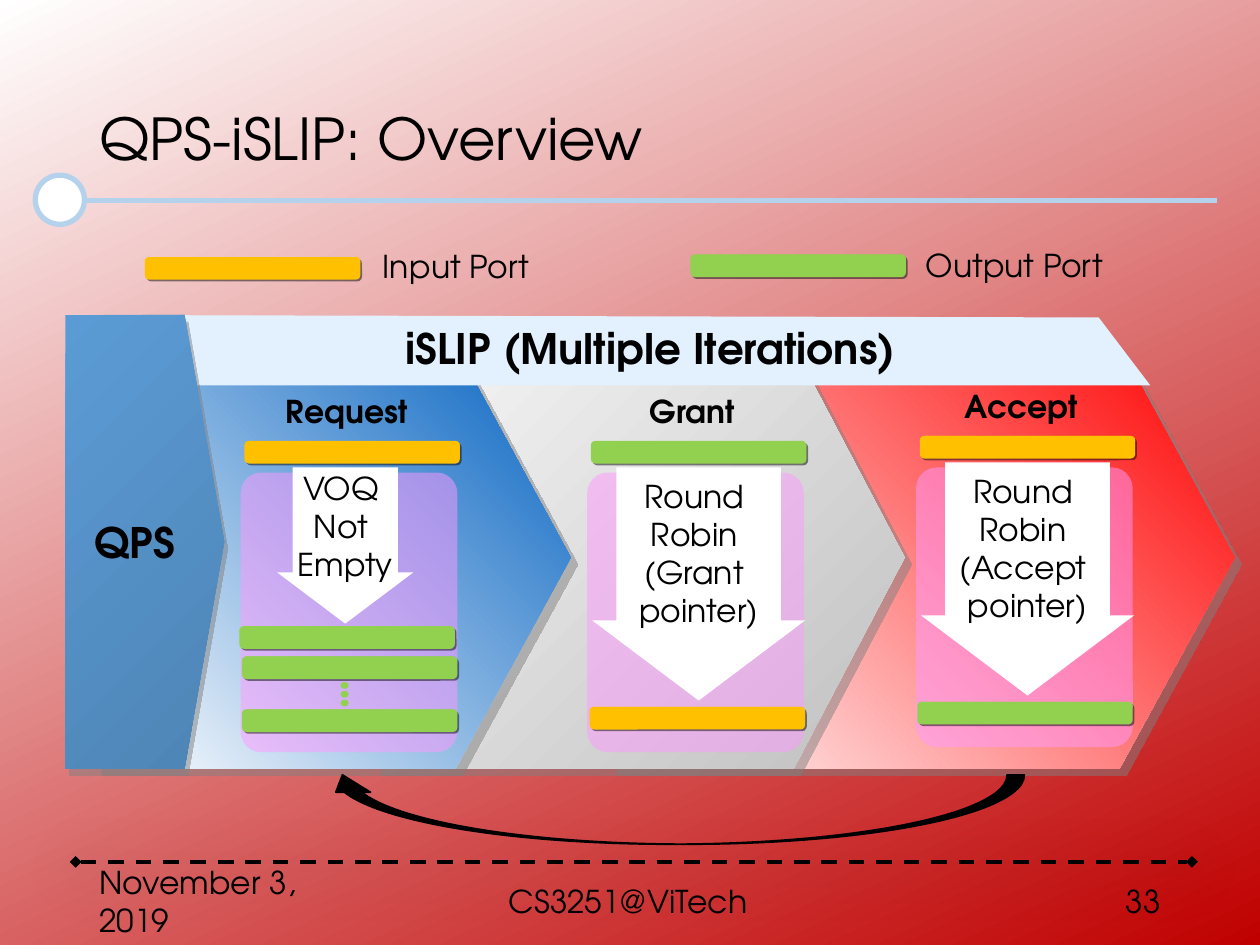
from dataclasses import dataclass

from lxml.etree import SubElement
from pptx import Presentation
from pptx.dml.color import RGBColor
from pptx.enum.dml import MSO_LINE
from pptx.enum.shapes import MSO_CONNECTOR, MSO_SHAPE
from pptx.enum.text import MSO_ANCHOR, PP_ALIGN
from pptx.oxml.ns import qn
from pptx.util import Inches, Pt


@dataclass(frozen=True)
class Theme:
    font: str = "TeX Gyre Adventor"
    title: int = 33
    heading: int = 24
    body: int = 18
    ink: str = "000000"
    white: str = "FFFFFF"
    rule: str = "B5D2EC"
    banner: str = "E3F1FF"
    panel: str = "FF99FF"
    input: str = "FFC000"
    output: str = "92D050"
    # Shadows: colour, opacity %, blur pt, distance pt, direction
    stage_shadow: tuple = ("808080", 50, 0, 5.7, 45)
    qps_shadow: tuple = ("808080", 50, 0, 4.5, 63)
    bar_shadow: tuple = ("080808", 50, 0, 1.4, 45)
    line_shadow: tuple = ("000000", 43, 36, 4, 90)
    title_shadow: tuple = ("000000", 43, 3, 3, 45)


T = Theme()
COLS, ROWS = 100, 75  # grid of square cells over the slide
BAR_W = 17.1


def grid(*cells):
    return [Inches(c * 10 / COLS) for c in cells]


def rgb(colour):
    return RGBColor.from_string(colour)


def add_shadow(effects, shadow):
    colour, opacity, blur, dist, angle = shadow
    outer = SubElement(effects, qn("a:outerShdw"), blurRad=str(Pt(blur)),
                       dist=str(Pt(dist)), dir=str(angle * 60000),
                       algn="ctr", rotWithShape="0")
    add_alpha(SubElement(outer, qn("a:srgbClr"), val=colour), opacity)


def add_alpha(colour, percent):
    SubElement(colour, qn("a:alpha"), val=str(percent * 1000))


def paint_gradient(fill, first, last, angle):
    fill.gradient()
    fill.gradient_angle = 360 - angle  # clockwise angle
    for stop, colour in zip(fill.gradient_stops, (first, last)):
        stop.color.rgb = rgb(colour)


def style(sp, fill, line=None, width=1, shadow=None):
    if isinstance(fill, tuple):
        paint_gradient(sp.fill, *fill)
    else:
        sp.fill.solid()
        sp.fill.fore_color.rgb = rgb(fill)
    if line:
        sp.line.color.rgb = rgb(line)
        sp.line.width = Pt(width)
    else:
        sp.line.fill.background()
    sp.shadow.inherit = False
    if shadow:
        add_shadow(sp._element.spPr.find(qn("a:effectLst")), shadow)


def add_block(s, kind, box, fill, adj=(), **look):
    sp = s.shapes.add_shape(kind, *grid(*box))
    for i, value in enumerate(adj):
        sp.adjustments[i] = value
    style(sp, fill, **look)
    return sp


def write(sp, text, size=T.body, bold=False, align=PP_ALIGN.LEFT,
          anchor=MSO_ANCHOR.MIDDLE, wrap=True):
    tf = sp.text_frame
    tf.text = text
    tf.word_wrap = wrap
    tf.vertical_anchor = anchor
    for p in tf.paragraphs:
        p.alignment = align
        for r in p.runs:
            r.font.name = T.font
            r.font.size = Pt(size)
            r.font.bold = bold
            r.font.color.rgb = rgb(T.ink)
    return tf


def add_text(s, box, text, **look):
    return write(s.shapes.add_textbox(*grid(*box)), text, **look)


def add_line(s, x1, x2, y, colour, width):
    line = s.shapes.add_connector(MSO_CONNECTOR.STRAIGHT, *grid(x1, y, x2, y))
    line.line.color.rgb = rgb(colour)
    line.line.width = Pt(width)
    return line, SubElement(line._element.spPr, qn("a:effectLst"))


def add_bar(s, x, y, colour):
    add_block(s, MSO_SHAPE.ROUNDED_RECTANGLE, (x, y, BAR_W, 1.8), colour,
              adj=[0.206], shadow=T.bar_shadow)
    add_block(s, MSO_SHAPE.ROUNDED_RECTANGLE, (x, y, BAR_W, 0.7), colour, adj=[0.5])


def add_stage(s, x, y, label, label_x, source, steps, arrow):
    """Label, source port, panel and arrow; x, y is the panel's corner."""
    dx, w, h = arrow
    add_text(s, (label_x, y - 6.9, 12, 4), label, bold=True, anchor=MSO_ANCHOR.TOP)
    panel = add_block(s, MSO_SHAPE.ROUNDED_RECTANGLE, (x, y, 17.2, 22.2), T.panel,
                      adj=[0.095])
    add_alpha(panel._element.spPr.find(".//" + qn("a:srgbClr")), 50)
    sp = add_block(s, MSO_SHAPE.DOWN_ARROW, (x + dx, y - 0.4, w, h), T.white,
                   adj=[0.773, 0.376])
    write(sp, steps, align=PP_ALIGN.CENTER, wrap=False)
    add_bar(s, x + 0.3, y - 2.5, source)


def add_frame(s):
    # Title and its rule
    add_line(s, 6.9, 96.6, 15.9, T.rule, 3)
    add_block(s, MSO_SHAPE.OVAL, (2.8, 13.9, 3.9, 3.9), T.white, line=T.rule, width=3)
    tf = add_text(s, (6.9, 4, 86.2, 14.5), "QPS-iSLIP: Overview", size=T.title)
    p = tf.paragraphs[0]
    p.line_spacing = 0.9
    fill = p.runs[0]._r.rPr.find(qn("a:solidFill"))
    effects = SubElement(p.runs[0]._r.rPr, qn("a:effectLst"))
    fill.addnext(effects)
    add_shadow(effects, T.title_shadow)

    # Footer
    line, effects = add_line(s, 6, 94.6, 68.4, T.ink, 2.25)
    line.line.dash_style = MSO_LINE.DASH
    for end in ("a:headEnd", "a:tailEnd"):
        SubElement(line.line._get_or_add_ln(), qn(end), type="diamond")
    add_shadow(effects, T.line_shadow)
    for x, w, text, align in ((6.9, 22.5, "November 3, 2019", PP_ALIGN.LEFT),
                              (24.1, 51.5, "CS3251@ViTech", PP_ALIGN.CENTER),
                              (70.6, 22.5, "33", PP_ALIGN.RIGHT)):
        add_text(s, (x, 69.5, w, 4), text, align=align)


def add_pipeline(s):
    # Chevrons, from right to left
    for x, w, adj, fill in ((48.4, 49.6, 0.273, (T.white, "FF0000", 315)),
                            (29.7, 42.1, 0.263, ("F7F7F7", "C0C0C0", 45)),
                            (7.5, 37.8, 0.273, (T.white, "0563C1", 315))):
        add_block(s, MSO_SHAPE.PENTAGON, (x, 27.5, w, 33.5), fill, adj=[adj],
                  shadow=T.stage_shadow)

    # Banner over all iterations
    corners = [(5.2, 25), (7.3, 30.6), (91.3, 30.6), (87.2, 25.2)]
    start, *rest = [tuple(grid(*c)) for c in corners]
    outline = s.shapes.build_freeform(*start)
    outline.add_line_segments(rest, close=True)
    style(outline.convert_to_shape(), T.banner)
    qps = add_block(s, MSO_SHAPE.PENTAGON, (5.2, 25, 12.6, 36),
                    ("5B9BD5", "4E85B6", 45), adj=[0.25], shadow=T.qps_shadow)
    write(qps, "QPS", size=T.heading, bold=True, align=PP_ALIGN.CENTER, wrap=False)
    add_text(s, (31.2, 25.1, 41.1, 5), "iSLIP (Multiple Iterations)",
             size=T.heading, bold=True, anchor=MSO_ANCHOR.TOP, wrap=False)


def main():
    prs = Presentation()
    prs.slide_width, prs.slide_height = grid(COLS, ROWS)
    s = prs.slides.add_slide(prs.slide_layouts[6])
    paint_gradient(s.background.fill, T.white, "C00000", 65)
    add_frame(s)
    add_pipeline(s)

    # Stages
    wide = (0.4, 16.9, 18.5)
    add_stage(s, 19.1, 37.5, "Request", 21.7, T.input, "VOQ \nNot \nEmpty",
              (2.9, 10.8, 12.4))
    add_stage(s, 46.6, 37.5, "Grant", 50.6, T.output,
              "Round \nRobin \n(Grant \npointer)", wide)
    add_stage(s, 72.7, 37.1, "Accept", 75.6, T.input,
              "Round \nRobin \n(Accept \npointer)", wide)

    # Target ports
    for x, y, colour in ((19, 49.7, T.output), (19.2, 52.1, T.output),
                         (19.2, 56.3, T.output), (46.8, 56.1, T.input),
                         (72.8, 55.7, T.output)):
        add_bar(s, x, y, colour)
    for i in range(3):
        add_block(s, MSO_SHAPE.OVAL, (27.1, 54.2 + 0.7 * i, 0.5, 0.4), T.output,
                  line=T.output)

    # Legend
    for x, y, colour, text_x, text_y, w, text in (
            (11.5, 20.4, T.input, 29.4, 19.1, 13.7, "Input Port"),
            (54.8, 20.2, T.output, 72.5, 19, 16.2, "Output Port")):
        add_bar(s, x, y, colour)
        add_text(s, (text_x, text_y, w, 4), text, anchor=MSO_ANCHOR.TOP, wrap=False)

    # Return to the next iteration
    loop = add_block(s, MSO_SHAPE.CURVED_LEFT_ARROW, (50.8, 36.5, 5.5, 55.5), T.ink,
                     line=T.ink)
    loop.rotation = 90
    prs.save("out.pptx")


if __name__ == "__main__":
    main()
